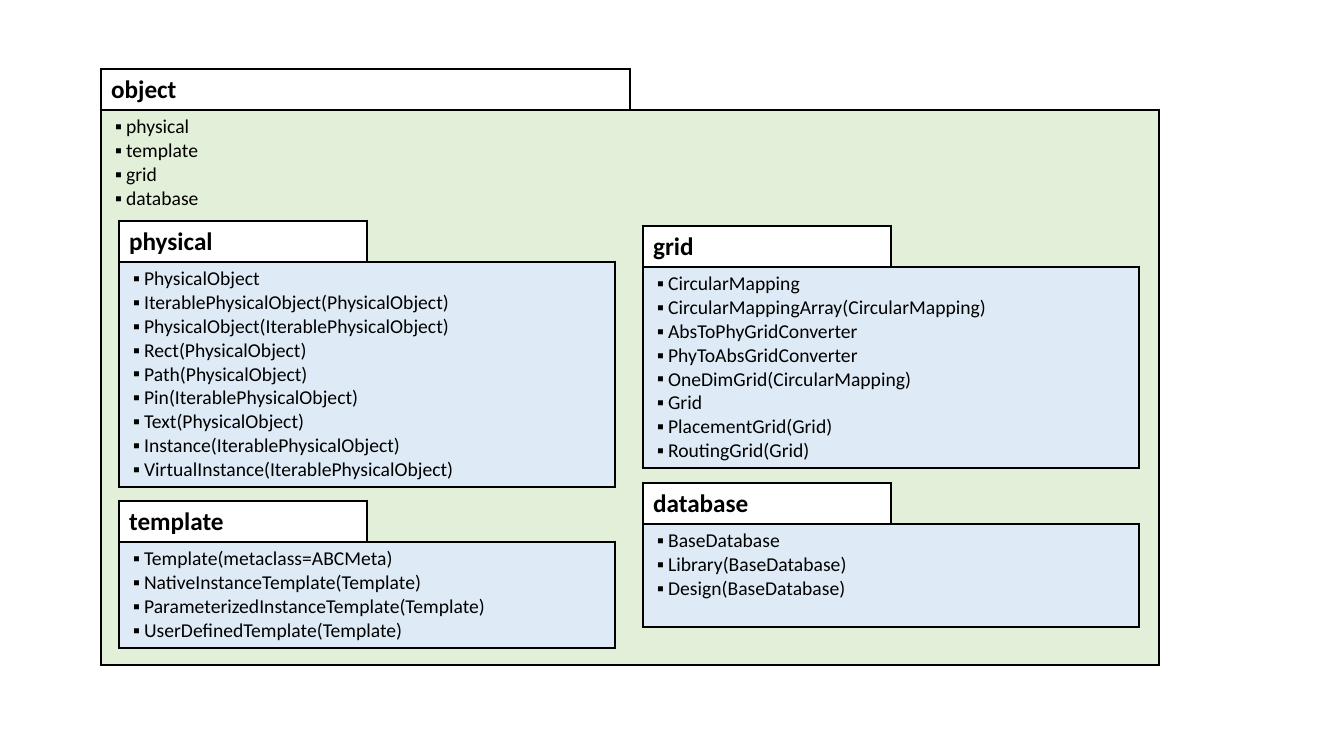
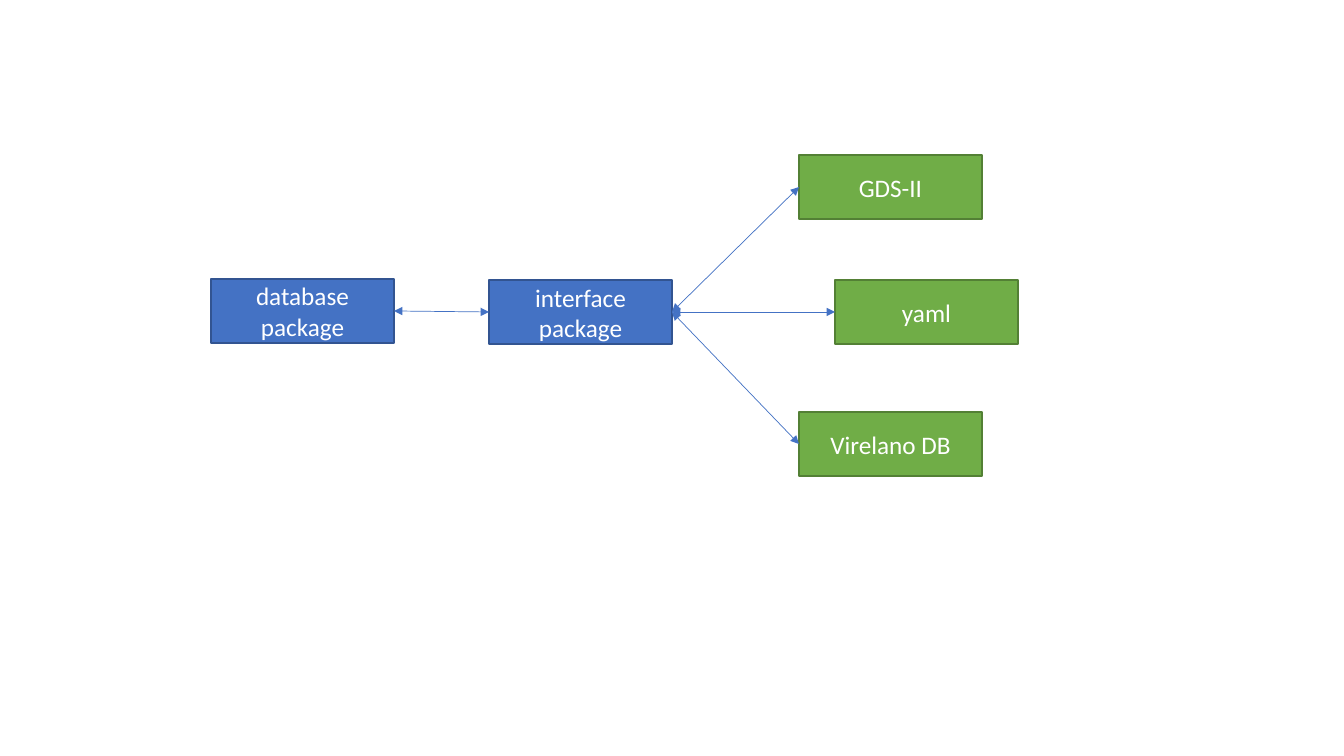
from lxml.etree import SubElement
from pptx import Presentation
from pptx.dml.color import RGBColor
from pptx.enum.shapes import MSO_CONNECTOR, MSO_SHAPE
from pptx.enum.text import MSO_ANCHOR, PP_ALIGN
from pptx.oxml.ns import qn
from pptx.util import Emu, Inches, Pt

PIXELS_PER_INCH = 100.8
FONT = "Calibri"
BLANK_LAYOUT = 6
HEADER_HEIGHT = 41
NODE_WIDTH, NODE_HEIGHT = 183, 64
LEFT_SITE, RIGHT_SITE = 1, 3

BLACK = RGBColor(0x00, 0x00, 0x00)
WHITE = RGBColor(0xFF, 0xFF, 0xFF)
PALE_GREEN = RGBColor(0xE2, 0xF0, 0xD9)
PALE_BLUE = RGBColor(0xDE, 0xEB, 0xF7)
BLUE = RGBColor(0x44, 0x72, 0xC4)
DARK_BLUE = RGBColor(0x32, 0x54, 0x91)
GREEN = RGBColor(0x70, 0xAD, 0x47)
DARK_GREEN = RGBColor(0x53, 0x80, 0x35)

# Each package: name, box (left, top, width, height), body colour, members
PACKAGES = [
    ("object", (101, 69, 1058, 596), PALE_GREEN,
     ["physical", "template", "grid", "database"]),
    ("physical", (119, 221, 496, 266), PALE_BLUE,
     ["PhysicalObject", "IterablePhysicalObject(PhysicalObject)",
      "PhysicalObject(IterablePhysicalObject)", "Rect(PhysicalObject)",
      "Path(PhysicalObject)", "Pin(IterablePhysicalObject)",
      "Text(PhysicalObject)", "Instance(IterablePhysicalObject)",
      "VirtualInstance(IterablePhysicalObject)"]),
    ("grid", (643, 226, 496, 242), PALE_BLUE,
     ["CircularMapping", "CircularMappingArray(CircularMapping)",
      "AbsToPhyGridConverter", "PhyToAbsGridConverter",
      "OneDimGrid(CircularMapping)", "Grid", "PlacementGrid(Grid)",
      "RoutingGrid(Grid)"]),
    ("template", (119, 501, 496, 147), PALE_BLUE,
     ["Template(metaclass=ABCMeta)", "NativeInstanceTemplate(Template)",
      "ParameterizedInstanceTemplate(Template)",
      "UserDefinedTemplate(Template)"]),
    ("database", (643, 483, 496, 144), PALE_BLUE,
     ["BaseDatabase", "Library(BaseDatabase)", "Design(BaseDatabase)"]),
]


def px(pixels):
    """Turn pixels into EMU."""
    return Emu(round(pixels * Inches(1) / PIXELS_PER_INCH))


def add_text(paragraph, text, size, color, bold=False):
    """Add one formatted run to a paragraph."""
    run = paragraph.add_run()
    run.text = text
    run.font.name = FONT
    run.font.size = Pt(size)
    run.font.bold = bold
    run.font.color.rgb = color


def fill_paragraphs(text_frame, lines, size, color):
    """Write each line as a paragraph and return the paragraphs."""
    for index, line in enumerate(lines):
        paragraph = text_frame.add_paragraph() if index else text_frame.paragraphs[0]
        add_text(paragraph, line, size, color)
    return text_frame.paragraphs


def add_bullet(paragraph):
    """Give a paragraph a small square bullet with a hanging indent."""
    properties = paragraph._p.get_or_add_pPr()
    properties.set("marL", str(px(15)))
    properties.set("indent", str(px(-11)))
    SubElement(properties, qn("a:buFont"), typeface=FONT)
    SubElement(properties, qn("a:buChar"), char="▪")


def set_borders(cell, drawn_sides="LRTB"):
    """Draw black borders on the given sides and clear the others."""
    properties = cell._tc.get_or_add_tcPr()
    for side in "LRTB":
        line = SubElement(properties, qn(f"a:ln{side}"), w=str(Pt(2.25)))
        if side in drawn_sides:
            fill = SubElement(line, qn("a:solidFill"))
            SubElement(fill, qn("a:srgbClr"), val=str(BLACK))
        else:
            SubElement(line, qn("a:noFill"))


def fill_cell(cell, color):
    """Fill a cell with a solid colour."""
    cell.fill.solid()
    cell.fill.fore_color.rgb = color


def add_package(slide, name, box, body_color, members):
    """Place a package: a name tab over a body that lists its members."""
    left, top, width, height = box
    table = slide.shapes.add_table(2, 2, *map(px, box)).table
    table.first_row = False
    table.horz_banding = False
    for column in table.columns:
        column.width = px(width / 2)
    table.rows[0].height = px(HEADER_HEIGHT)
    table.rows[1].height = px(height - HEADER_HEIGHT)

    tab, gap = table.cell(0, 0), table.cell(0, 1)
    body, body_end = table.cell(1, 0), table.cell(1, 1)
    body.merge(body_end)
    for cell in (tab, body, body_end):
        set_borders(cell)
    set_borders(gap, "LB")
    fill_cell(tab, WHITE)
    gap.fill.background()
    fill_cell(body, body_color)
    fill_cell(body_end, body_color)

    tab.vertical_anchor = MSO_ANCHOR.MIDDLE
    add_text(tab.text_frame.paragraphs[0], name, 18, BLACK, bold=True)
    for paragraph in fill_paragraphs(body.text_frame, members, 14, BLACK):
        add_bullet(paragraph)


def add_node(slide, left, top, lines, fill_color, line_color):
    """Place a labelled rectangle and return it."""
    shape = slide.shapes.add_shape(
        MSO_SHAPE.RECTANGLE, px(left), px(top), px(NODE_WIDTH), px(NODE_HEIGHT))
    shape.shadow.inherit = False
    shape.fill.solid()
    shape.fill.fore_color.rgb = fill_color
    shape.line.color.rgb = line_color
    shape.line.width = Pt(1)
    shape.text_frame.vertical_anchor = MSO_ANCHOR.MIDDLE
    for paragraph in fill_paragraphs(shape.text_frame, lines, 18, WHITE):
        paragraph.alignment = PP_ALIGN.CENTER
    return shape


def add_double_arrow(slide, start, end):
    """Join the right side of one node to the left side of another."""
    connector = slide.shapes.add_connector(MSO_CONNECTOR.STRAIGHT, 0, 0, 0, 0)
    connector.begin_connect(start, RIGHT_SITE)
    connector.end_connect(end, LEFT_SITE)
    connector.line.color.rgb = BLUE
    connector.line.width = Pt(0.5)
    line = connector.line._get_or_add_ln()
    for tag in ("a:headEnd", "a:tailEnd"):
        SubElement(line, qn(tag), type="triangle")
    SubElement(connector._element.spPr, qn("a:effectLst"))


def build_package_slide(presentation):
    """Build the slide of nested packages."""
    slide = presentation.slides.add_slide(presentation.slide_layouts[BLANK_LAYOUT])
    for package in PACKAGES:
        add_package(slide, *package)


def build_interface_slide(presentation):
    """Build the slide that links the packages to the storage formats."""
    slide = presentation.slides.add_slide(presentation.slide_layouts[BLANK_LAYOUT])
    database = add_node(slide, 211, 279, ["database", "package"], BLUE, DARK_BLUE)
    interface = add_node(slide, 489, 280, ["interface", "package"], BLUE, DARK_BLUE)
    formats = [
        add_node(slide, left, top, [label], GREEN, DARK_GREEN)
        for left, top, label in (
            (799, 155, "GDS-II"), (835, 280, "yaml"), (799, 412, "Virelano DB"))
    ]
    for storage_format in formats:
        add_double_arrow(slide, interface, storage_format)
    add_double_arrow(slide, database, interface)


def main():
    """Build and save the presentation."""
    presentation = Presentation()
    presentation.slide_width = px(1344)
    presentation.slide_height = px(756)
    build_package_slide(presentation)
    build_interface_slide(presentation)
    presentation.save("out.pptx")


main()
